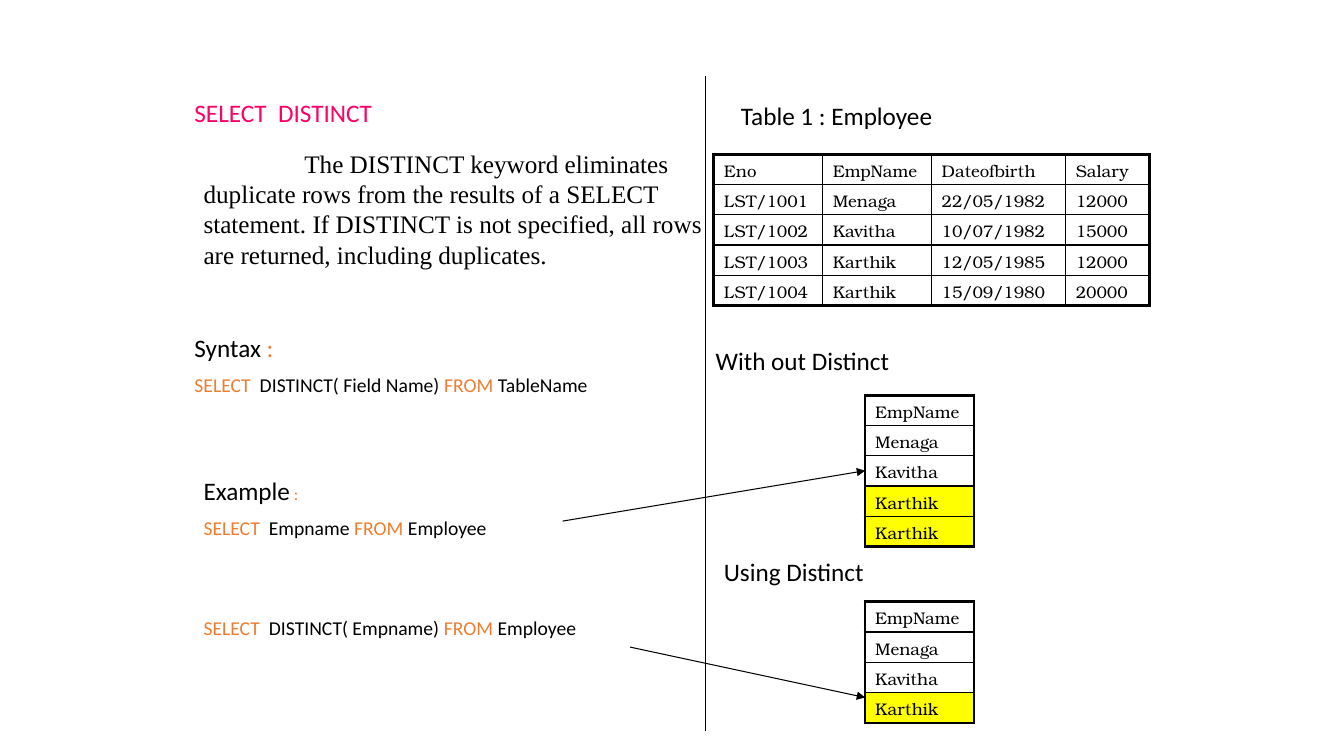
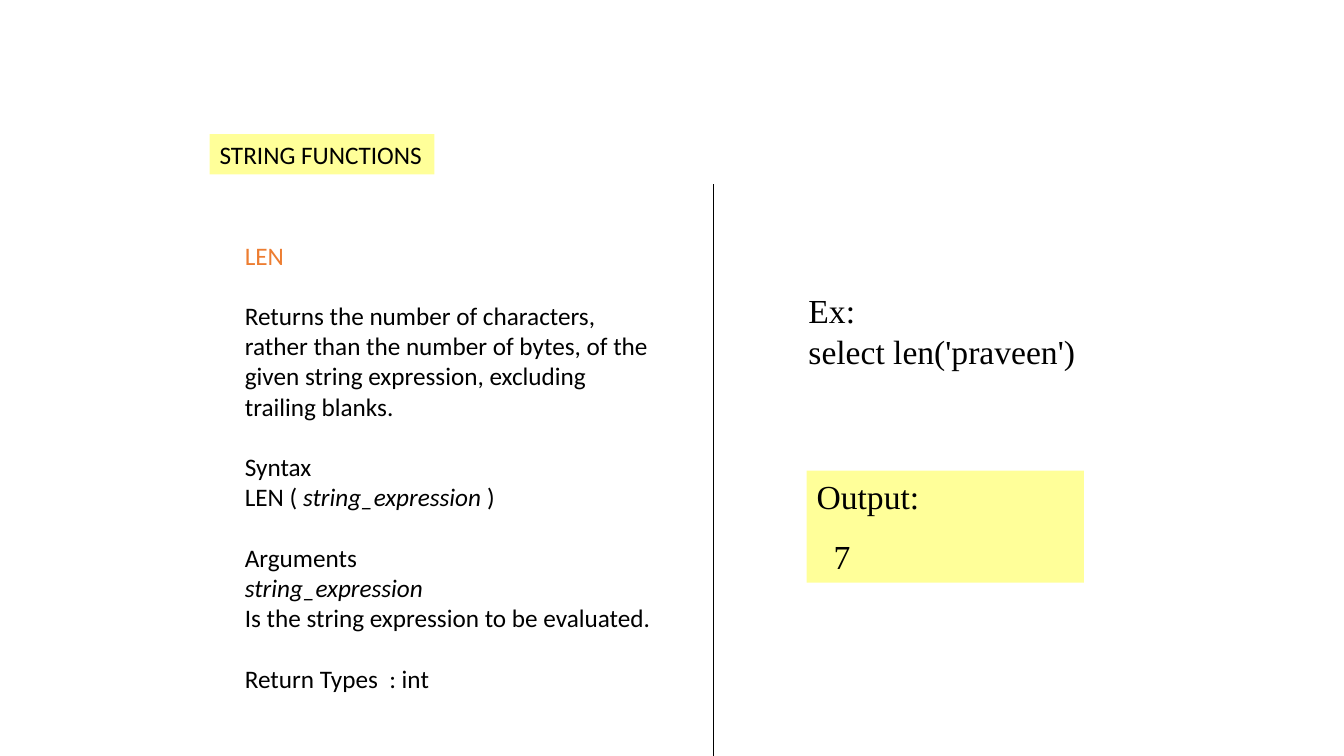
import dataclasses

import pptx
import pptx.dml.color
import pptx.enum.shapes
import pptx.enum.text
import pptx.oxml
import pptx.oxml.ns
import pptx.util
from pptx.util import Inches, Pt


@dataclasses.dataclass(frozen=True)
class Theme:
    ink: str = "000000"
    paper: str = "FFFFFF"
    title: str = "FF0066"
    accent: str = "ED7D31"
    band: str = "FFFF99"
    highlight: str = "FFFF00"
    sans: str = "Calibri"
    serif: str = "Times New Roman"
    table_font: str = "TeX Gyre Bonum"
    large: int = 24
    body: int = 18
    code: int = 14
    small: int = 12
    rule: float = 0.75
    inner_border: float = 1
    outer_border: float = 2.25


THEME = Theme()
ROW_HEIGHT = 0.3
BLANK_LINE = 21.6
DRAWING_NS = pptx.oxml.ns.nsdecls("a")


@dataclasses.dataclass
class Run:
    text: str
    color: str = None
    size: int = None
    italic: bool = None


@dataclasses.dataclass
class Para:
    runs: list
    size: int = THEME.body
    font: str = THEME.sans
    color: str = THEME.ink
    before: float = 0
    left: float = 0
    first_line: float = 0


def line_of(text, **style):
    return Para([Run(text)], **style)


def sql(*parts, before=7):
    """A code line whose parts alternate between keyword and plain text."""
    colors = (THEME.accent, None)
    runs = [Run(part, colors[i % 2]) for i, part in enumerate(parts)]
    return Para(runs, size=THEME.code, before=before)


def rgb(value):
    return pptx.dml.color.RGBColor.from_string(value)


def write_paragraph(paragraph, para):
    properties = paragraph._p.get_or_add_pPr()
    for name, length in (("marL", para.left), ("indent", para.first_line)):
        if length:
            properties.set(name, str(Inches(length)))
    paragraph.alignment = pptx.enum.text.PP_ALIGN.LEFT
    if para.before:
        paragraph.space_before = Pt(para.before)
    paragraph.font.size = Pt(para.size)
    paragraph.font.name = para.font
    paragraph.font.color.rgb = rgb(para.color)
    for part in para.runs:
        run = paragraph.add_run()
        run.text = part.text
        if part.color:
            run.font.color.rgb = rgb(part.color)
        if part.size:
            run.font.size = Pt(part.size)
        if part.italic:
            run.font.italic = True


def write_frame(frame, paras, wrap=True):
    frame.word_wrap = wrap
    frame.vertical_anchor = pptx.enum.text.MSO_ANCHOR.TOP
    for index, para in enumerate(paras):
        paragraph = frame.add_paragraph() if index else frame.paragraphs[0]
        write_paragraph(paragraph, para)


def add_text(slide, box, paras, wrap=True):
    holder = slide.shapes.add_textbox(*map(Inches, box))
    write_frame(holder.text_frame, paras, wrap)


def add_band(slide, box, paras, wrap=True):
    band = slide.shapes.add_shape(
        pptx.enum.shapes.MSO_SHAPE.RECTANGLE, *map(Inches, box))
    band.shadow.inherit = False
    band.fill.solid()
    band.fill.fore_color.rgb = rgb(THEME.band)
    band.line.fill.background()
    write_frame(band.text_frame, paras, wrap)


def add_rule(slide, start, end, arrow=False):
    rule = slide.shapes.add_connector(
        pptx.enum.shapes.MSO_CONNECTOR.STRAIGHT, *map(Inches, start + end))
    rule.line.color.rgb = rgb(THEME.ink)
    rule.line.width = Pt(THEME.rule)
    if arrow:
        rule.line._get_or_add_ln().append(
            pptx.oxml.parse_xml(f'<a:tailEnd {DRAWING_NS} type="triangle"/>'))
    rule._element.spPr.append(pptx.oxml.parse_xml(f"<a:effectLst {DRAWING_NS}/>"))


def set_borders(cell, outer_sides):
    properties = cell._tc.get_or_add_tcPr()
    for index, side in enumerate("LRTB"):
        points = THEME.outer_border if side in outer_sides else THEME.inner_border
        properties.insert(index, pptx.oxml.parse_xml(
            f'<a:ln{side} {DRAWING_NS} w="{Pt(points)}"><a:solidFill>'
            f'<a:srgbClr val="{THEME.ink}"/></a:solidFill></a:ln{side}>'))


def add_grid(slide, left, top, widths, records, highlighted=()):
    """A table with a heavy outline; highlighted holds row numbers."""
    last_row, last_column = len(records) - 1, len(widths) - 1
    table = slide.shapes.add_table(
        len(records), len(widths), Inches(left), Inches(top),
        Inches(sum(widths)), Inches(ROW_HEIGHT * len(records))).table
    table.first_row = table.horz_banding = False
    for column, width in zip(table.columns, widths):
        column.width = Inches(width)
    for r, record in enumerate(records):
        table.rows[r].height = Inches(ROW_HEIGHT)
        for c, value in enumerate(record):
            cell = table.cell(r, c)
            cell.vertical_anchor = pptx.enum.text.MSO_ANCHOR.MIDDLE
            cell.fill.solid()
            cell.fill.fore_color.rgb = rgb(
                THEME.highlight if r in highlighted else THEME.paper)
            edges = {"L": c == 0, "R": c == last_column,
                     "T": r == 0, "B": r == last_row}
            set_borders(cell, [side for side, outer in edges.items() if outer])
            write_paragraph(
                cell.text_frame.paragraphs[0],
                line_of(value, size=THEME.small, font=THEME.table_font))


def distinct_explanation(slide, left, top):
    inset = left + 0.09
    width = 5.25
    add_text(slide, (left, top, 5.58, 0.4),
             [line_of("SELECT  DISTINCT", color=THEME.title)])
    add_text(slide, (inset, top + 0.5, width, 1.31), [line_of(
        "The DISTINCT keyword eliminates duplicate rows from the results of a "
        "SELECT statement. If DISTINCT is not specified, all rows are returned, "
        "including duplicates.", font=THEME.serif, first_line=1)])
    add_text(slide, (left, top + 2.33, width, 0.76), [
        Para([Run("Syntax"), Run(" :", THEME.accent)]),
        sql("SELECT", "  DISTINCT( Field Name) ", "FROM", " TableName")])
    add_text(slide, (inset, top + 3.75, width, 2.52), [
        Para([Run("Example"), Run(" :", THEME.accent, THEME.small)]),
        sql("SELECT", "  Empname ", "FROM", " Employee"),
        sql("SELECT", "  DISTINCT( Empname) ", "FROM", " Employee", before=55)])


def distinct_results(slide, left, top):
    employees = [
        ("Eno", "EmpName", "Dateofbirth", "Salary"),
        ("LST/1001", "Menaga", "22/05/1982", "12000"),
        ("LST/1002", "Kavitha", "10/07/1982", "15000"),
        ("LST/1003", "Karthik", "12/05/1985", "12000"),
        ("LST/1004", "Karthik", "15/09/1980", "20000"),
    ]
    all_names = [(employee[1],) for employee in employees]
    unique_names = list(dict.fromkeys(all_names))
    captions = [(0.25, 0, "Table 1 : Employee"),
                (0, 2.43, "With out Distinct"),
                (0.08, 4.52, "Using Distinct")]
    for dx, dy, caption in captions:
        add_text(slide, (left + dx, top + dy, 3.92, 0.4), [line_of(caption)])
    add_grid(slide, left + 0.08, top + 0.58, (1.08, 1.08, 1.33, 0.83), employees)
    for dy, names, highlighted in ((2.97, all_names, (3, 4)),
                                   (5.02, unique_names, (3,))):
        add_grid(slide, left + 1.58, top + dy, (1.08,), names, highlighted)


def distinct_slide(slide):
    add_rule(slide, (7, 0.75), (7, 7.25))
    distinct_explanation(slide, 1.83, 0.92)
    distinct_results(slide, 7, 0.95)
    add_rule(slide, (5.58, 5.17), (8.58, 4.67), arrow=True)
    add_rule(slide, (6.25, 6.42), (8.58, 6.92), arrow=True)


def len_reference(slide, box):
    add_text(slide, box, [
        line_of("LEN", color=THEME.accent),
        line_of("Returns the number of characters, rather than the number of "
                "bytes, of the given string expression, excluding trailing "
                "blanks.", before=BLANK_LINE),
        line_of("Syntax", before=BLANK_LINE),
        Para([Run("LEN ( "), Run("string_expression ", italic=True), Run(")")]),
        line_of("Arguments", before=BLANK_LINE),
        Para([Run("string_expression", italic=True)]),
        line_of("Is the string expression to be evaluated."),
        line_of("Return Types  : int", before=BLANK_LINE)])


def len_example(slide, left, top):
    style = {"size": THEME.large, "font": THEME.serif}
    add_text(slide, (left, top, 2.87, 0.91), [
        line_of("Ex:", **style),
        line_of("select len('praveen')", **style)], wrap=False)
    add_band(slide, (left + 0.08, top + 1.84, 2.75, 1.11), [
        line_of("Output:", **style),
        line_of("7", before=14, left=0.17, **style)])


def string_functions_slide(slide):
    add_band(slide, (2.08, 1.33, 2.23, 0.4),
             [line_of("STRING FUNCTIONS")], wrap=False)
    add_rule(slide, (7.08, 1.83), (7.08, 7.5))
    len_reference(slide, (2.33, 2.33, 4.25, 4.95))
    len_example(slide, 7.92, 2.83)


def main():
    deck = pptx.Presentation()
    deck.slide_width, deck.slide_height = Inches(13.33), Inches(7.5)
    blank = deck.slide_layouts[6]
    for build in (distinct_slide, string_functions_slide):
        build(deck.slides.add_slide(blank))
    deck.save("out.pptx")


if __name__ == "__main__":
    main()
